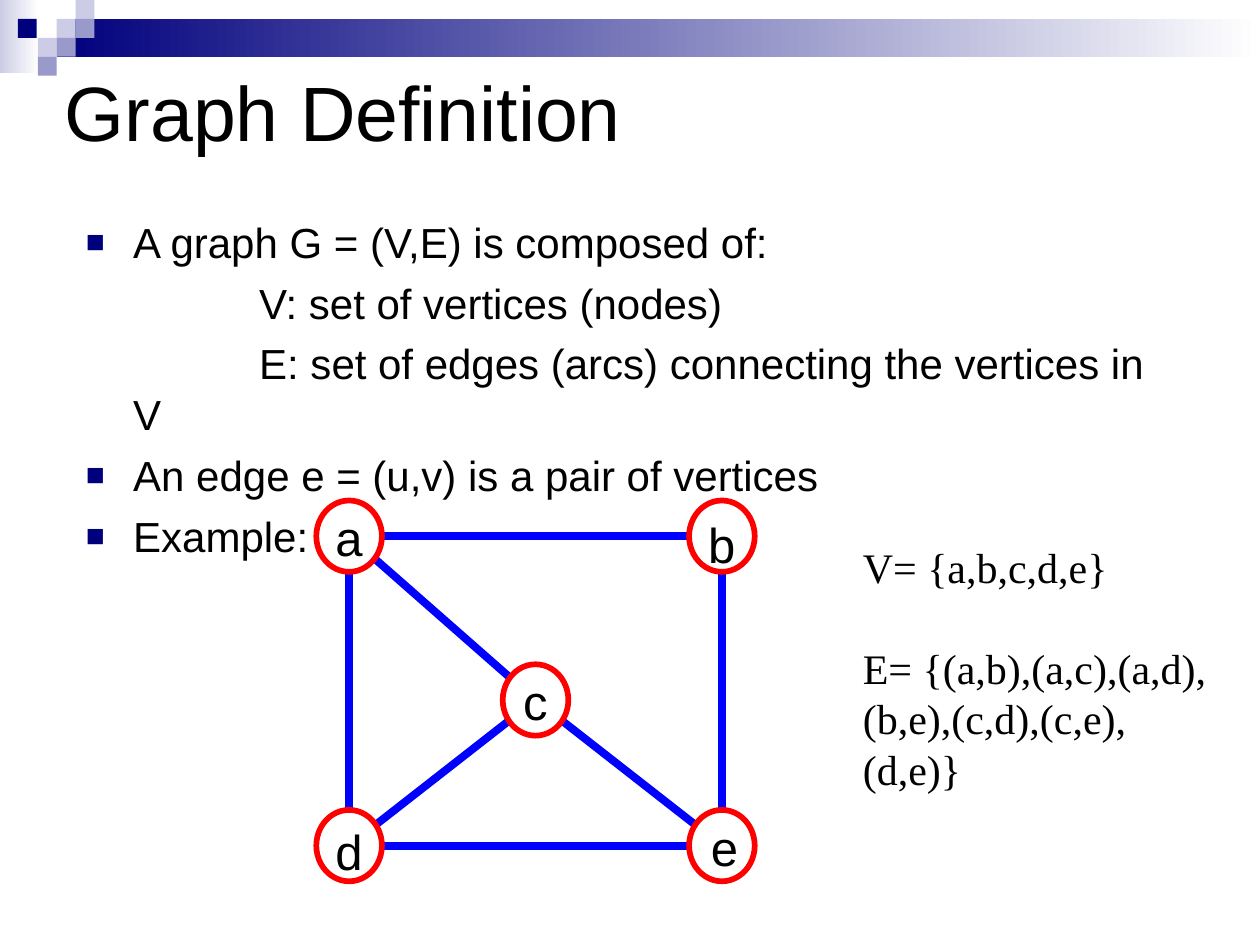
from lxml import etree
from pptx import Presentation
from pptx.dml.color import RGBColor
from pptx.enum.shapes import MSO_CONNECTOR, MSO_SHAPE
from pptx.enum.text import MSO_ANCHOR, PP_ALIGN
from pptx.oxml.ns import qn
from pptx.util import Pt

RECTANGLE, OVAL = MSO_SHAPE.RECTANGLE, MSO_SHAPE.OVAL
STRAIGHT = MSO_CONNECTOR.STRAIGHT
TOP, MIDDLE = MSO_ANCHOR.TOP, MSO_ANCHOR.MIDDLE
LEFT, CENTER = PP_ALIGN.LEFT, PP_ALIGN.CENTER

COLORS = {"navy": "00007D", "violet": "9999CC", "lavender": "CCCCE6",
          "white": "FFFFFF", "black": "000000", "edge": "0000FF", "node": "FF0000"}

TILE = 10.8
TILES = [(32.4, 10.8, "lavender"), (43.2, 0, "lavender"), (43.2, 10.8, "violet"),
         (21.6, 21.6, "lavender"), (10.2, 10.8, "navy"), (32.4, 21.6, "violet"),
         (21.6, 32.4, "violet")]

DEFINITION = [("A graph G = (V,E) is composed of:", True),
              ("V: set of vertices (nodes)", False),
              ("E: set of edges (arcs) connecting the vertices in V", False),
              ("An edge e = (u,v) is a pair of vertices", True),
              ("Example:", True)]
SETS = ["V= {a,b,c,d,e}", "E= {(a,b),(a,c),(a,d),", "(b,e),(c,d),(c,e),", "(d,e)}"]

NODE_WIDTH, NODE_HEIGHT = 37.5, 40.8
NODES = {"a": (199.5, 306.4), "b": (412.5, 306.4), "c": (306, 400),
         "d": (199.5, 483.2), "e": (412.5, 483.2)}
LABEL_OFFSETS = {"a": (0, 0.6), "b": (0, 4.2), "c": (0, 0.6), "d": (0, 3), "e": (1.5, 0.9)}
EDGES = ["ab", "ac", "ad", "be", "cd", "ce", "de"]


def color(name):
    """Return the named palette colour."""
    return RGBColor.from_string(COLORS[name])


def add_block(slide, left, top, width, height, start, end=None):
    """Add a rectangle with a solid fill, or a left-to-right gradient."""
    shape = slide.shapes.add_shape(RECTANGLE, Pt(left), Pt(top), Pt(width), Pt(height))
    shape.shadow.inherit = False
    shape.line.fill.background()
    if end is None:
        shape.fill.solid()
        shape.fill.fore_color.rgb = color(start)
        return
    shape.fill.gradient()
    shape.fill.gradient_angle = 0
    for stop, name in zip(shape.fill.gradient_stops, (start, end)):
        stop.color.rgb = color(name)


def add_text(slide, box, lines, size, font="Arial", anchor=TOP, align=LEFT,
             insets=(7.2, 3.6), wrap=True):
    """Add a text box with one paragraph per line and return its paragraphs."""
    text_frame = slide.shapes.add_textbox(*map(Pt, box)).text_frame
    text_frame.word_wrap = wrap
    text_frame.vertical_anchor = anchor
    text_frame.margin_left = text_frame.margin_right = Pt(insets[0])
    text_frame.margin_top = text_frame.margin_bottom = Pt(insets[1])
    text_frame.text = "\n".join(lines)
    for paragraph in text_frame.paragraphs:
        paragraph.alignment = align
        paragraph.line_spacing = Pt(size * 1.2)
        for run in paragraph.runs:
            run.font.size = Pt(size)
            run.font.name = font
            run.font.color.rgb = color("black")
    return text_frame.paragraphs


def set_indent(paragraph, first_line):
    """Indent a paragraph, with its first line shifted by the given length."""
    properties = paragraph._p.get_or_add_pPr()
    properties.set("marL", str(Pt(27)))
    properties.set("indent", str(Pt(first_line)))
    return properties


def add_bullet(paragraph):
    """Give a paragraph a hanging square bullet."""
    properties = set_indent(paragraph, -27)
    bullet_color = etree.SubElement(properties, qn("a:buClr"))
    etree.SubElement(bullet_color, qn("a:srgbClr"), val=COLORS["navy"])
    etree.SubElement(properties, qn("a:buSzPct"), val="75000")
    etree.SubElement(properties, qn("a:buFont"), typeface="Arial")
    etree.SubElement(properties, qn("a:buChar"), char="■")


def add_definition(slide):
    """Add the bulleted definition with its indented sub-lines."""
    paragraphs = add_text(slide, (42, 120, 636, 288), [text for text, _ in DEFINITION], 24)
    for index, (paragraph, (_, bulleted)) in enumerate(zip(paragraphs, DEFINITION)):
        if index:
            paragraph.space_before = Pt(6)
        if bulleted:
            add_bullet(paragraph)
        else:
            set_indent(paragraph, 72)


def add_edge(slide, start, end):
    """Add a line between the centres of two nodes."""
    connector = slide.shapes.add_connector(STRAIGHT, *map(Pt, NODES[start] + NODES[end]))
    connector.line.color.rgb = color("edge")
    connector.line.width = Pt(4.5)
    etree.SubElement(connector._element.spPr, qn("a:effectLst"))


def add_node(slide, name):
    """Add a circled node with its letter."""
    x, y = NODES[name]
    shape = slide.shapes.add_shape(OVAL, Pt(x - NODE_WIDTH / 2), Pt(y - NODE_HEIGHT / 2),
                                   Pt(NODE_WIDTH), Pt(NODE_HEIGHT))
    shape.shadow.inherit = False
    shape.fill.solid()
    shape.fill.fore_color.rgb = color("white")
    shape.line.color.rgb = color("node")
    shape.line.width = Pt(3.25)
    shift, drop = LABEL_OFFSETS[name]
    add_text(slide, (x + shift - 8, y + drop - 16.8, 16, 33.6), [name], 28,
             align=CENTER, insets=(0, 0), wrap=False)


def main():
    """Build the slide and save it."""
    presentation = Presentation()
    presentation.slide_width, presentation.slide_height = Pt(720), Pt(540)
    slide = presentation.slides.add_slide(presentation.slide_layouts[6])

    add_block(slide, 0, 0, 22.3, 41.8, "lavender", "white")
    add_block(slide, 32.4, 10.8, 687.6, 21.6, "navy", "white")
    for left, top, name in TILES:
        add_block(slide, left, top, TILE, TILE, name)

    add_text(slide, (30, 18, 612, 90), ["Graph Definition"], 44, anchor=MIDDLE)
    add_definition(slide)
    for start, end in EDGES:
        add_edge(slide, start, end)
    for name in NODES:
        add_node(slide, name)
    sets = add_text(slide, (486, 306, 211, 151.2), SETS, 24, font="Times New Roman")
    sets[1].space_before = Pt(28.8)

    presentation.save("out.pptx")


if __name__ == "__main__":
    main()
